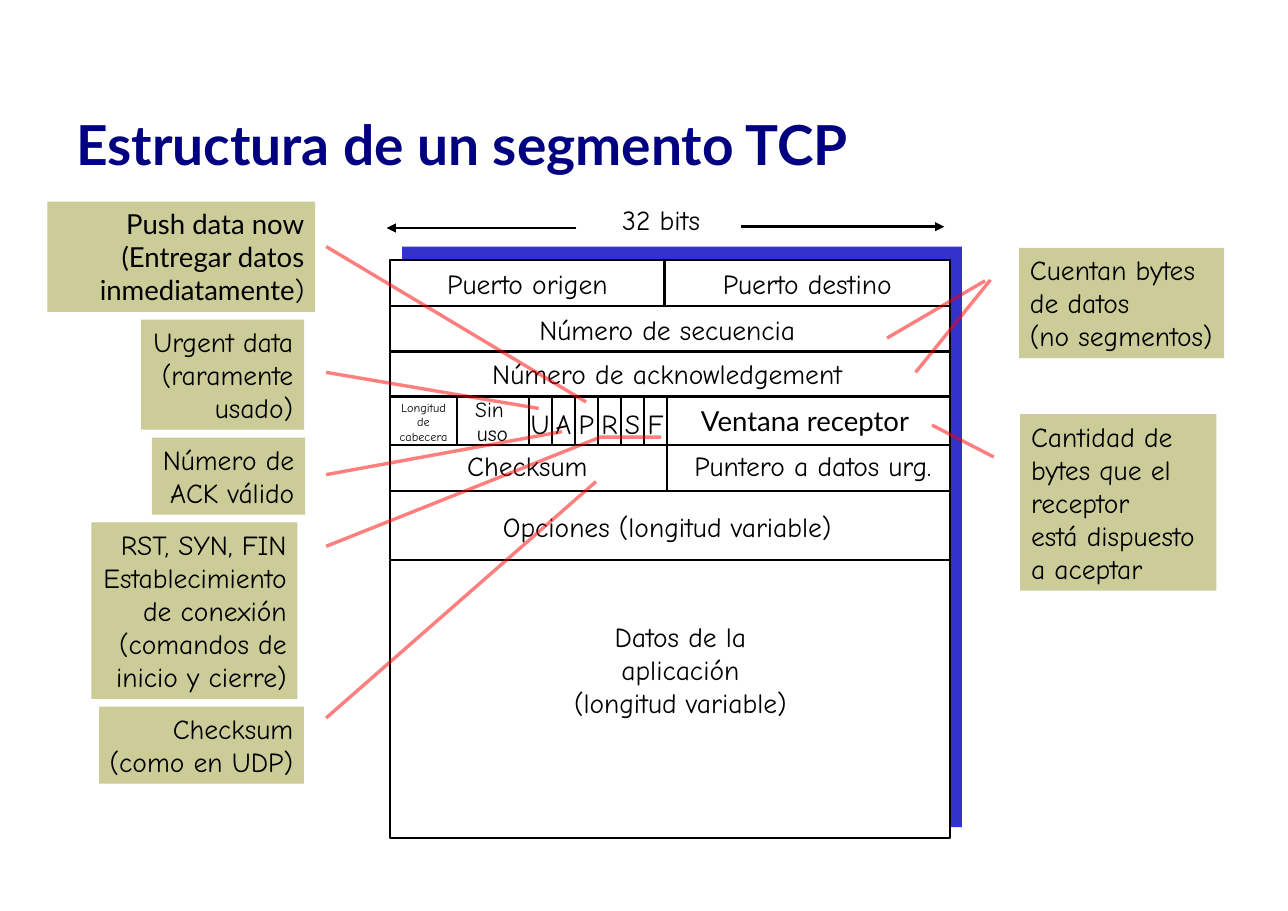
import dataclasses

import lxml.etree
import pptx
import pptx.dml.color
import pptx.enum.shapes
import pptx.enum.text
import pptx.oxml.ns
import pptx.util

COMIC, LATO = "Comic Neue", "Lato"
BLACK, WHITE, NAVY, BLUE, KHAKI, RED = (
    "000000", "FFFFFF", "000080", "3333CC", "CCCC99", "FF0000")
ALIGN = pptx.enum.text.PP_ALIGN
ANCHOR = pptx.enum.text.MSO_ANCHOR
RECTANGLE = pptx.enum.shapes.MSO_SHAPE.RECTANGLE
STRAIGHT = pptx.enum.shapes.MSO_CONNECTOR.STRAIGHT


@dataclasses.dataclass
class Grid:
    """A box, in inches, divided into equal columns and rows."""
    left: float
    top: float
    width: float
    height: float
    columns: float
    rows: float

    def point(self, column, row):
        return (pptx.util.Inches(self.left + column * self.width / self.columns),
                pptx.util.Inches(self.top + row * self.height / self.rows))

    def box(self, column, row, columns, rows):
        left, top = self.point(column, row)
        right, bottom = self.point(column + columns, row + rows)
        return left, top, right - left, bottom - top


PAGE = Grid(0, 0, 11.69, 8.27, 100, 100)
SEGMENT = Grid(3.54, 2.36, 5.08, 5.25, 32, 12.5)  # one column per bit

FLAG_LEFT, FLAG_WIDTH, MIDDLE = 7.93, 1.32, 15.85
PORT_MIDDLE = 15.7
LEADER_LEFT = -3.65

# text, column, row, columns, rows, format
FIELDS = [
    ("32 bits", 12.5, -1.36, 6, 0.96, {}),
    ("Puerto origen", 0, 0, PORT_MIDDLE, 1, {}),
    ("Puerto destino", PORT_MIDDLE, 0, 32 - PORT_MIDDLE, 1, {}),
    ("Número de secuencia", 0, 1, 31.7, 1, {}),
    ("Número de acknowledgement", 0, 2, 31.7, 0.92, {}),
    ("Longitud\nde\ncabecera", 0, 3, 3.84, 1, {"size": 8}),
    ("Sin", 3.84, 2.98, 3.7, 0.5, {"size": 14}),
    ("uso", 3.84, 3.48, 4.04, 0.5, {"size": 14}),
    ("Ventana receptor", MIDDLE, 3, 31.6 - MIDDLE, 0.95, {"font": LATO}),
    ("Checksum", 0, 4, PORT_MIDDLE, 0.9, {}),
    ("Puntero a datos urg.", MIDDLE, 4, 32.5 - MIDDLE, 0.9, {}),
    ("Opciones (longitud variable)", 0, 5, 31.7, 1.52, {}),
    ("Datos de la\naplicación\n(longitud variable)", 0.7, 6.48, 31.8, 4.75, {}),
] + [(flag, FLAG_LEFT + index * FLAG_WIDTH, 3.05, FLAG_WIDTH, 0.95, {})
     for index, flag in enumerate("UAPRSF")]

ROW_LINES = [1, 1.98, 2.95, 4, 5, 6.48]
# column, first row, last row
COLUMN_LINES = [(PORT_MIDDLE, 0, 1), (3.84, 2.95, 4), (MIDDLE, 2.95, 5)] + [
    (FLAG_LEFT + index * FLAG_WIDTH, 2.95, 4) for index in range(6)]

LEADERS = [
    ((LEADER_LEFT, -0.29), (11.21, 3.07)),
    ((LEADER_LEFT, 2.43), (8.5, 3.21)),
    ((LEADER_LEFT, 4.64), (9.83, 3.71)),
    ((LEADER_LEFT, 9.9), (11.78, 4.79)),
    ((34.52, 4.26), (30.99, 3.57)),
    ((34.33, 0.43), (30.05, 2.43)),
    ((34.02, 0.45), (28.41, 1.69)),
]
RST_LEADER = [(15.5, 3.83), (12.03, 3.83), (LEADER_LEFT, 6.19)]

# column, columns, paragraphs; a paragraph may be a list of (text, font)
LEFT_NOTES = [
    (3.68, 20.79, [[("Push data now", LATO)],
                   [("(Entregar datos\ninmediatamente", LATO), (")", COMIC)]]),
    (10.95, 12.66, ["Urgent data", "(raramente", "usado)"]),
    (11.8, 11.89, ["Número de", "ACK válido"]),
    (7.1, 16, ["RST, SYN, FIN", "Establecimiento", "de conexión",
               "(comandos de", "inicio y cierre)"]),
    (7.7, 15.91, ["Checksum", "(como en UDP)"]),
]
COUNT_NOTE = (79.13, 15.91, ["Cuentan bytes", "de datos", "(no segmentos)"])
WINDOW_NOTE = (79.21, 15.23, ["Cantidad de", "bytes que el", "receptor",
                              "está dispuesto", "a aceptar"])
NOTE_LINE, NOTE_MARGIN, NOTE_GAP = 3.63, 1.21, 0.85


def color(value):
    return pptx.dml.color.RGBColor.from_string(value)


def write(frame, paragraphs, size=18, font=COMIC, ink=BLACK, bold=False,
          align=ALIGN.CENTER, anchor=ANCHOR.MIDDLE, wrap=False):
    frame.word_wrap = wrap
    frame.vertical_anchor = anchor
    for index, spans in enumerate(paragraphs):
        para = frame.add_paragraph() if index else frame.paragraphs[0]
        para.alignment = align
        for text, face in [(spans, font)] if isinstance(spans, str) else spans:
            for number, line in enumerate(text.split("\n")):
                if number:
                    para.add_line_break()
                span = para.add_run()
                span.text = line
                span.font.size = pptx.util.Pt(size)
                span.font.name = face
                span.font.bold = bold
                span.font.color.rgb = color(ink)


def add_box(page, place, fill, outline=None):
    box = page.shapes.add_shape(RECTANGLE, *place)
    box.shadow.inherit = False
    box.fill.solid()
    box.fill.fore_color.rgb = color(fill)
    if outline:
        box.line.color.rgb = color(outline)
        box.line.width = pptx.util.Pt(1.5)
    else:
        box.line.fill.background()
    return box


def add_child(parent, tag, **attributes):
    return lxml.etree.SubElement(parent, pptx.oxml.ns.qn(tag), **attributes)


def style_leader(line):
    """Half-transparent red stroke."""
    line.color.rgb = color(RED)
    line.width = pptx.util.Pt(2.25)
    shade = line.fill._xPr.find(".//" + pptx.oxml.ns.qn("a:srgbClr"))
    add_child(shade, "a:alpha", val="50000")


def add_line(page, start, end, arrow=False, leader=False):
    line = page.shapes.add_connector(
        STRAIGHT, *SEGMENT.point(*start), *SEGMENT.point(*end))
    if leader:
        style_leader(line.line)
    else:
        line.line.color.rgb = color(BLACK)
        line.line.width = pptx.util.Pt(1.5)
    if arrow:
        add_child(line.line._get_or_add_ln(), "a:tailEnd", type="triangle")
    add_child(line._element.spPr, "a:effectLst")


def add_title(page):
    title = page.shapes.title
    title.left, title.top, title.width, title.height = PAGE.box(
        5.05, 7.62, 89.22, 16.32)
    write(title.text_frame, ["Estructura de un segmento TCP"], size=36,
          font=LATO, ink=NAVY, bold=True, align=ALIGN.LEFT, wrap=True)


def add_segment(page):
    add_box(page, SEGMENT.box(0.69, -0.29, 32, 12.55), BLUE)
    add_box(page, SEGMENT.box(0, 0, 32, 12.5), WHITE, BLACK)
    for row in ROW_LINES:
        add_line(page, (0, row), (32, row))
    for column, first, last in COLUMN_LINES:
        add_line(page, (column, first), (column, last))
    add_line(page, (20.09, -0.72), (31.69, -0.72), arrow=True)
    add_line(page, (10.65, -0.69), (-0.19, -0.69), arrow=True)
    for text, column, row, columns, rows, style in FIELDS:
        field = page.shapes.add_textbox(*SEGMENT.box(column, row, columns, rows))
        frame = field.text_frame
        frame.margin_left = frame.margin_right = 0
        frame.margin_top = frame.margin_bottom = 0
        write(frame, text.split("\n"), **style)


def add_note(page, note, top, align):
    """Draw a note and return its bottom row."""
    column, columns, paragraphs = note
    lines = sum(1 + str(spans).count("\\n") for spans in paragraphs)
    rows = lines * NOTE_LINE + NOTE_MARGIN
    box = add_box(page, PAGE.box(column, top, columns, rows), KHAKI)
    write(box.text_frame, paragraphs, align=align, anchor=ANCHOR.TOP)
    return top + rows


def add_notes(page):
    top = 22.13
    for note in LEFT_NOTES:
        top = add_note(page, note, top, ALIGN.RIGHT) + NOTE_GAP
    add_note(page, COUNT_NOTE, 27.21, ALIGN.LEFT)
    add_note(page, WINDOW_NOTE, 45.47, ALIGN.LEFT)


def add_leaders(page):
    for start, end in LEADERS:
        add_line(page, start, end, leader=True)
    first, *others = [SEGMENT.point(*point) for point in RST_LEADER]
    builder = page.shapes.build_freeform(*first)
    builder.add_line_segments(others, close=False)
    leader = builder.convert_to_shape()
    leader.shadow.inherit = False
    leader.fill.background()
    style_leader(leader.line)


def main():
    deck = pptx.Presentation()
    deck.slide_width = pptx.util.Inches(PAGE.width)
    deck.slide_height = pptx.util.Inches(PAGE.height)
    page = deck.slides.add_slide(deck.slide_layouts[5])
    add_title(page)
    add_segment(page)
    add_notes(page)
    add_leaders(page)
    deck.save("out.pptx")


if __name__ == "__main__":
    main()
